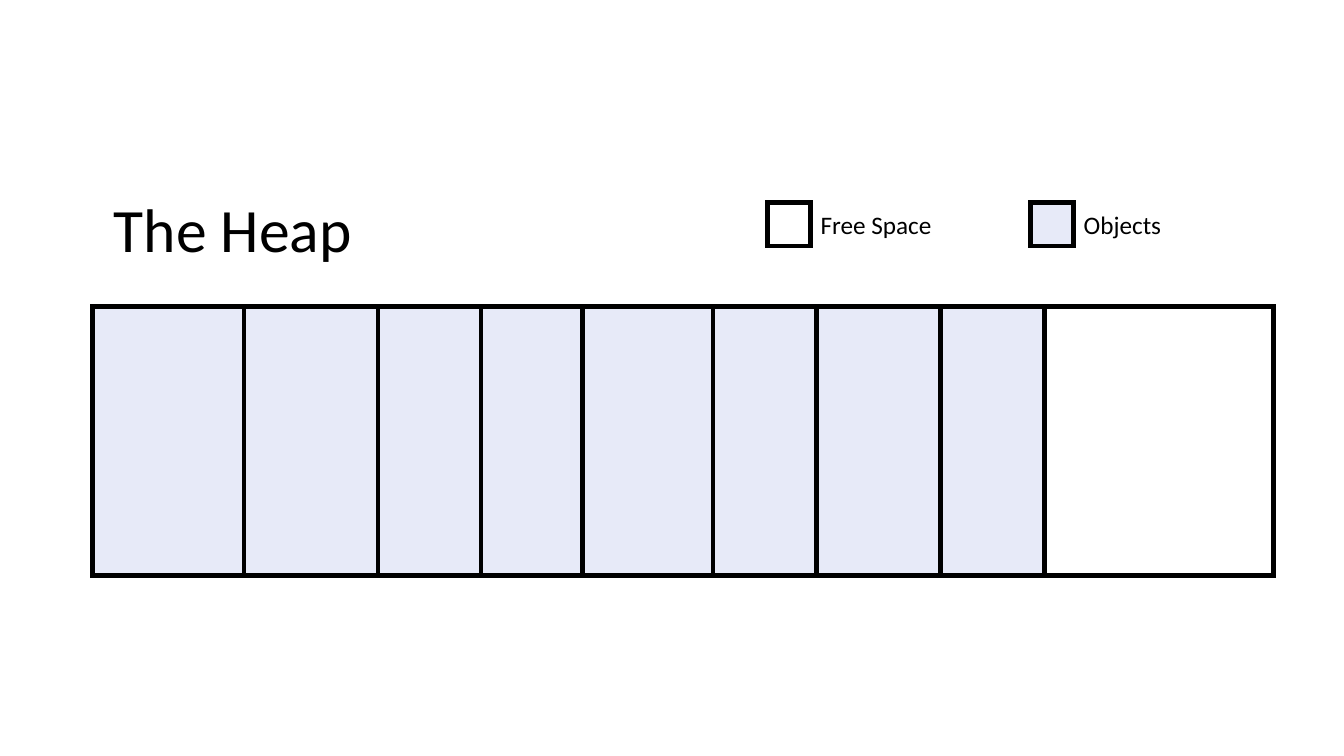
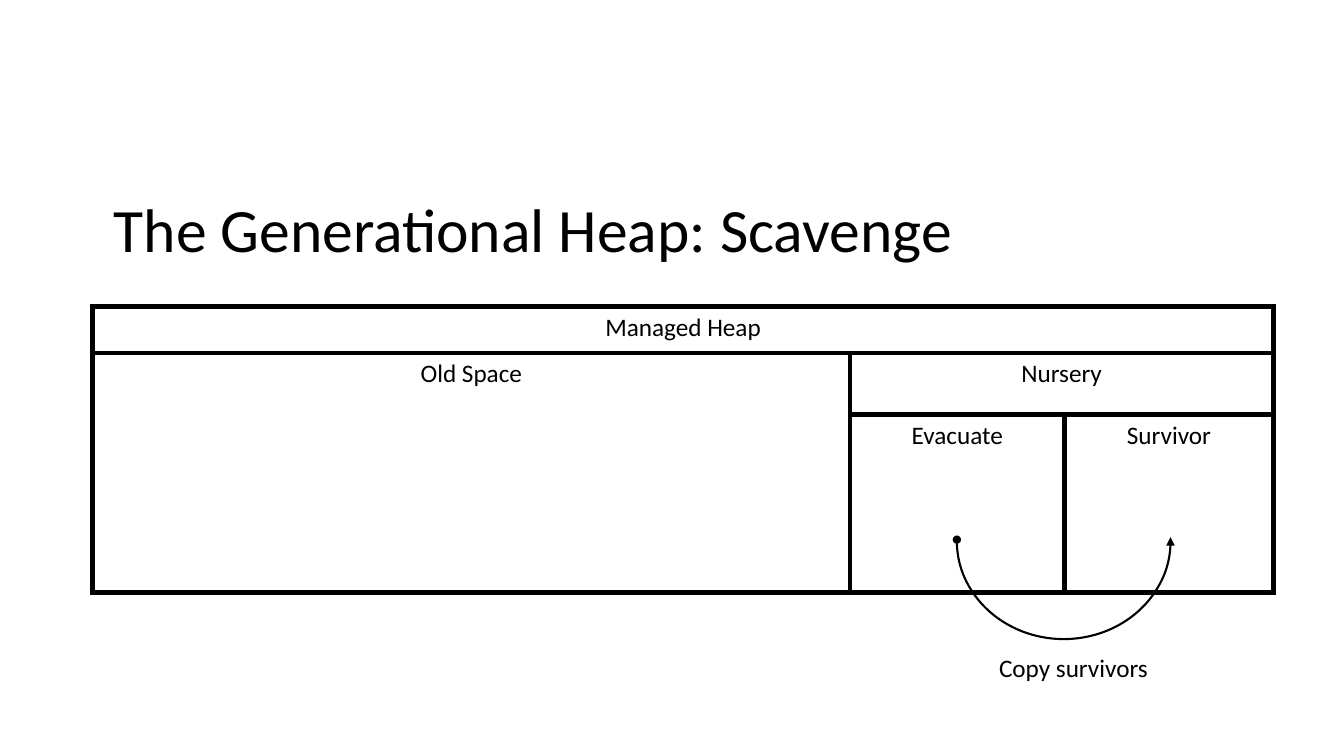
import pptx
import pptx.dml.color
import pptx.enum.shapes
import pptx.enum.text
import pptx.oxml
import pptx.oxml.ns
import pptx.util

Inches = pptx.util.Inches
Pt = pptx.util.Pt
SHAPE = pptx.enum.shapes.MSO_SHAPE
ALIGN = pptx.enum.text.PP_ALIGN

BLACK = pptx.dml.color.RGBColor(0x00, 0x00, 0x00)
OBJECT_FILL = pptx.dml.color.RGBColor(0xE7, 0xEA, 0xF8)
FONT = "Calibri"
LABEL_SIZE = 18
TITLE_SIZE = 44
BORDER = 3.25

HEAP_LEFT, HEAP_TOP, HEAP_RIGHT = 0.92, 3.04, 12.63


def add_run(frame, text, size, align=None):
    paragraph = frame.paragraphs[0]
    paragraph.alignment = align
    run = paragraph.add_run()
    run.text = text
    run.font.name = FONT
    run.font.size = Pt(size)
    run.font.color.rgb = BLACK


def add_text(slide, text, left, top, width, height, size=LABEL_SIZE):
    frame = slide.shapes.add_textbox(
        Inches(left), Inches(top), Inches(width), Inches(height)).text_frame
    frame.word_wrap = True
    frame.auto_size = pptx.enum.text.MSO_AUTO_SIZE.SHAPE_TO_FIT_TEXT
    add_run(frame, text, size)


def add_title(slide, text, width):
    add_text(slide, text, 1.03, 1.85, width, 0.84, TITLE_SIZE)


def add_line_part(shape, tag, **attributes):
    """Append a join or arrowhead to the outline of a shape."""
    part = pptx.oxml.parse_xml(f"<a:{tag} {pptx.oxml.ns.nsdecls('a')}/>")
    for name, value in attributes.items():
        part.set(name, value)
    shape.line._get_or_add_ln().append(part)


def add_outline(slide, kind, left, top, width, height, weight, fill=None):
    shape = slide.shapes.add_shape(
        kind, Inches(left), Inches(top), Inches(width), Inches(height))
    shape.shadow.inherit = False
    if fill is None:
        shape.fill.background()
    else:
        shape.fill.solid()
        shape.fill.fore_color.rgb = fill
    shape.line.color.rgb = BLACK
    shape.line.width = Pt(weight)
    add_line_part(shape, "miter", lim="800000")
    return shape


def add_region(slide, left, top, right, bottom, label=None, fill=None):
    """Draw a bordered area between four edges, labelled at its top."""
    region = add_outline(slide, SHAPE.RECTANGLE, left, top,
                         right - left, bottom - top, BORDER, fill)
    if label:
        region.text_frame.vertical_anchor = pptx.enum.text.MSO_ANCHOR.TOP
        add_run(region.text_frame, label, LABEL_SIZE, ALIGN.CENTER)


def add_legend_entry(slide, left, label, fill=None):
    side = 0.43
    add_region(slide, left, 2.01, left + side, 2.01 + side, fill=fill)
    add_text(slide, label, left + side, 2.03, 1.43, 0.4)


def add_copy_arrow(slide, left, top, width, height):
    """Draw the lower half of an ellipse, running from left to right."""
    arrow = add_outline(slide, SHAPE.ARC, left, top, width, height, 1.5)
    arrow.adjustments[0] = 107.62
    arrow.adjustments[1] = 1.17
    arrow.rotation = 180
    arrow._element.spPr.xfrm.set("flipH", "1")
    add_line_part(arrow, "headEnd", type="oval")
    add_line_part(arrow, "tailEnd", type="triangle")


def build_heap(slide):
    bottom = 5.71
    object_edges = [HEAP_LEFT, 2.42, 3.75, 4.77, 5.78, 7.07, 8.1, 9.33, 10.36]
    add_title(slide, "The Heap", 3.31)
    add_legend_entry(slide, 7.61, "Free Space")
    add_legend_entry(slide, 10.22, "Objects", OBJECT_FILL)
    add_region(slide, HEAP_LEFT, HEAP_TOP, HEAP_RIGHT, bottom)
    for left, right in zip(object_edges, object_edges[1:]):
        add_region(slide, left, HEAP_TOP, right, bottom, fill=OBJECT_FILL)


def build_scavenge(slide):
    bottom = 5.88
    spaces_top, halves_top = 3.5, 4.11
    nursery_left, survivor_left = 8.43, 10.56
    add_title(slide, "The Generational Heap: Scavenge", 11.6)
    for label, left, top, right in [
        ("Managed Heap", HEAP_LEFT, HEAP_TOP, HEAP_RIGHT),
        ("Nursery", nursery_left, spaces_top, HEAP_RIGHT),
        ("Old Space", HEAP_LEFT, spaces_top, nursery_left),
        ("Evacuate", nursery_left, halves_top, survivor_left),
        ("Survivor", survivor_left, halves_top, HEAP_RIGHT),
    ]:
        add_region(slide, left, top, right, bottom, label)
    add_copy_arrow(slide, 9.49, 4.39, 2.12, 1.95)
    add_text(slide, "Copy survivors", 9.81, 6.42, 2.12, 0.4)


def main():
    deck = pptx.Presentation()
    deck.slide_width = Inches(13.33)
    deck.slide_height = Inches(7.5)
    for build in (build_heap, build_scavenge):
        build(deck.slides.add_slide(deck.slide_layouts[6]))
    deck.save("out.pptx")


if __name__ == "__main__":
    main()
